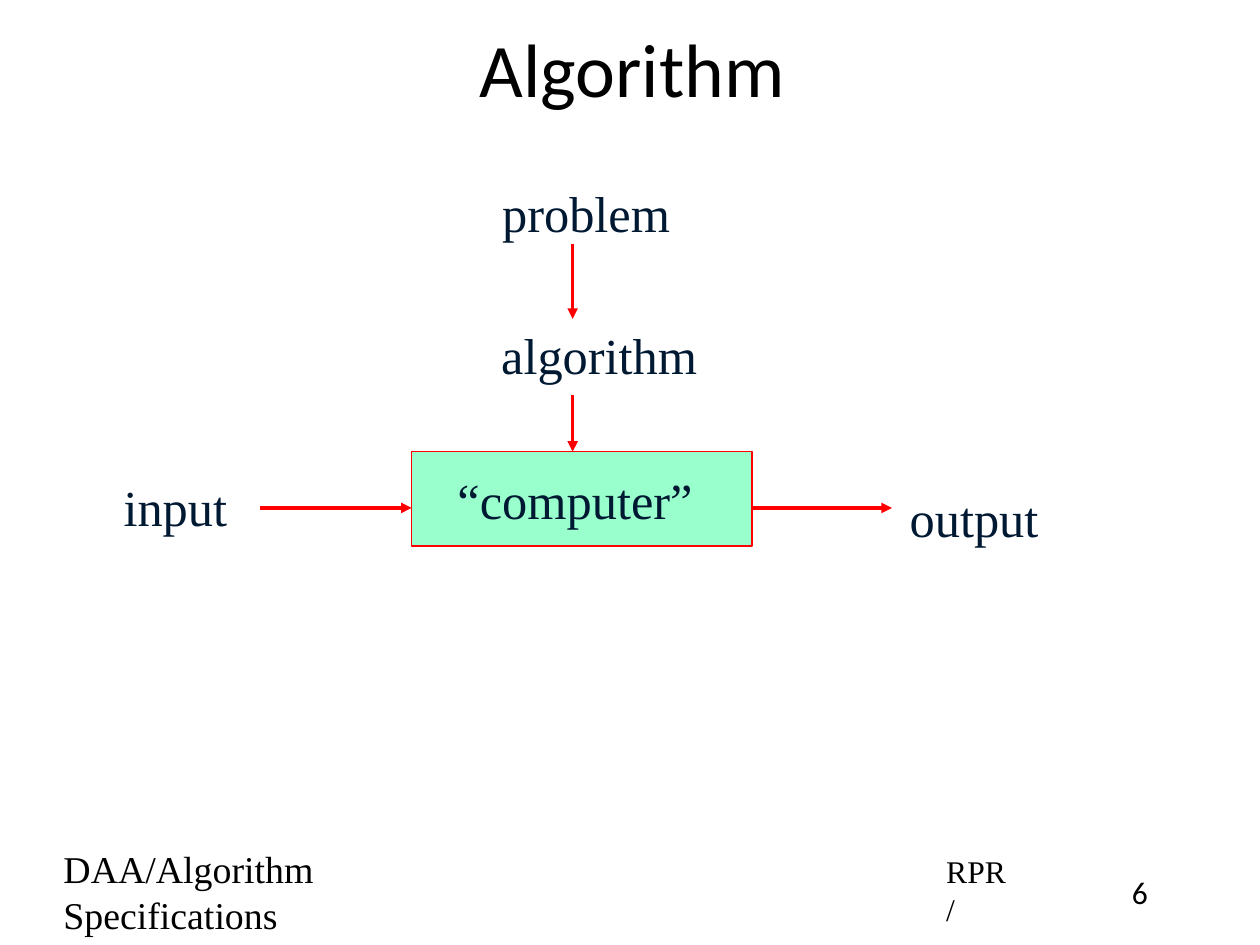
from dataclasses import dataclass

from lxml.etree import SubElement
from pptx import Presentation
from pptx.dml.color import RGBColor
from pptx.enum.shapes import MSO_CONNECTOR, MSO_SHAPE
from pptx.enum.text import MSO_ANCHOR, MSO_AUTO_SIZE, PP_ALIGN
from pptx.oxml.ns import qn
from pptx.util import Emu, Inches, Pt

WIDE, HIGH = Inches(11.11), Inches(8.33)
SERIF, SANS = "Times New Roman", "Calibri"
BLACK, NAVY, RED, MINT = "000000", "001932", "FF0000", "99FFCC"
AXIS, FLOW = 45.45, 53.75
TOP, EDGE = 47.8, 32.67


@dataclass
class Box:
    left: float
    top: float
    width: float
    height: float


@dataclass
class Label:
    text: str
    box: Box
    size: int = 32
    font: str = SERIF
    color: str = NAVY
    align: PP_ALIGN = PP_ALIGN.LEFT
    anchor: MSO_ANCHOR = MSO_ANCHOR.TOP
    inset: float = 0.05
    indent: float = 0


@dataclass
class Arrow:
    left: float
    top: float
    right: float
    bottom: float


TITLE = Label("Algorithm", Box(7.5, 0.83, 85, 12.5), 48, SANS, BLACK,
              PP_ALIGN.CENTER, MSO_ANCHOR.MIDDLE, 0.06, 0.04)
LABELS = [
    Label("6", Box(87.5, 91.7, 5.94, 5), 20, SANS, BLACK, PP_ALIGN.CENTER, inset=0.06),
    Label("DAA/Algorithm Specifications", Box(4.14, 91.5, 27, 5.64), 24, SERIF, BLACK,
          anchor=MSO_ANCHOR.MIDDLE, inset=0.06, indent=0.04),
    Label("RPR/", Box(74.2, 91.7, 6.3, 5), 20, SERIF, BLACK,
          anchor=MSO_ANCHOR.MIDDLE, inset=0.06, indent=0.04),
    Label("“computer”", Box(35.3, 49.2, 20.7, 7.2),
          align=PP_ALIGN.CENTER, anchor=MSO_ANCHOR.MIDDLE),
    Label("problem", Box(39.4, 18.7, 17.1, 7.2)),
    Label("algorithm", Box(39.33, 33.75, 17.5, 7.2)),
    Label("input", Box(9.36, 49.8, 11.8, 7.2)),
    Label("output", Box(71.75, 50.9, 11.8, 7.2)),
]
ARROWS = [
    Arrow(AXIS, 25.8, AXIS, 33.75),
    Arrow(AXIS, 41.8, AXIS, TOP),
    Arrow(20.6, FLOW, EDGE, FLOW),
    Arrow(EDGE + 27, FLOW, 70.8, FLOW),
]


def col(share: float) -> Emu:
    return Emu(round(WIDE * share / 100))


def row(share: float) -> Emu:
    return Emu(round(HIGH * share / 100))


def place(box: Box) -> tuple[Emu, Emu, Emu, Emu]:
    return col(box.left), row(box.top), col(box.width), row(box.height)


def paint(target, color: str) -> None:
    target.rgb = RGBColor.from_string(color)


def write(shape, label: Label) -> None:
    frame = shape.text_frame
    frame.word_wrap = True
    frame.auto_size = MSO_AUTO_SIZE.NONE
    frame.vertical_anchor = label.anchor
    frame.margin_left = frame.margin_right = Inches(label.inset)
    frame.margin_top = frame.margin_bottom = Inches(label.inset)
    para = frame.paragraphs[0]
    para.alignment = label.align
    props = para._p.get_or_add_pPr()
    props.set("marL", str(Inches(label.indent)))
    props.set("indent", "0")
    run = para.add_run()
    run.text = label.text
    run.font.size = Pt(label.size)
    run.font.name = label.font
    paint(run.font.color, label.color)


def head(slide) -> None:
    title = slide.shapes.title
    title.left, title.top, title.width, title.height = place(TITLE.box)
    write(title, TITLE)


def block(slide, box: Box) -> None:
    shape = slide.shapes.add_shape(MSO_SHAPE.RECTANGLE, *place(box))
    shape.shadow.inherit = False
    shape.fill.solid()
    paint(shape.fill.fore_color, MINT)
    paint(shape.line.color, RED)
    shape.line.width = Pt(1)


def link(slide, arrow: Arrow) -> None:
    line = slide.shapes.add_connector(
        MSO_CONNECTOR.STRAIGHT, col(arrow.left), row(arrow.top),
        col(arrow.right), row(arrow.bottom))
    paint(line.line.color, RED)
    line.line.width = Pt(2.25)
    SubElement(line.line._get_or_add_ln(), qn("a:tailEnd"), type="triangle")
    SubElement(line._element.spPr, qn("a:effectLst"))


def main() -> None:
    deck = Presentation()
    deck.slide_width, deck.slide_height = WIDE, HIGH
    slide = deck.slides.add_slide(deck.slide_layouts[5])
    head(slide)
    block(slide, Box(EDGE, TOP, 27, 10))
    for label in LABELS:
        write(slide.shapes.add_textbox(*place(label.box)), label)
    for arrow in ARROWS:
        link(slide, arrow)
    deck.save("out.pptx")


if __name__ == "__main__":
    main()
